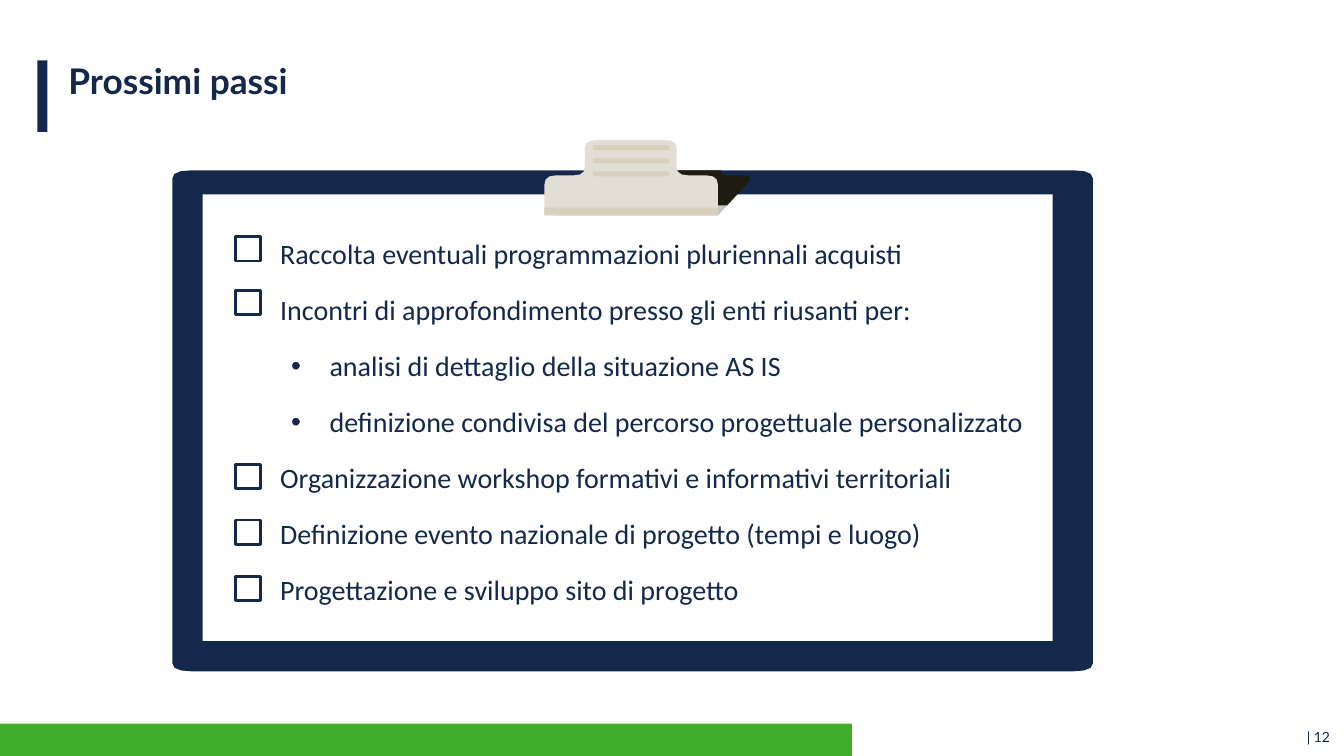
from dataclasses import dataclass
from math import hypot

from lxml import etree
from pptx import Presentation
from pptx.dml.color import RGBColor
from pptx.enum import shapes, text
from pptx.oxml import ns
from pptx.util import Inches, Pt


@dataclass(frozen=True)
class Theme:
    navy: str = "14284B"
    ink: str = "13284A"
    white: str = "FFFFFF"
    green: str = "3FAE29"
    dark: str = "1E1C11"
    gray: str = "C2C8BF"
    metal: str = "E2DED5"
    tan: str = "D8D0BC"
    head: str = "Lato"
    body: str = "Calibri"
    title: float = 25.2
    item: float = 20
    page: float = 10


@dataclass(frozen=True)
class Box:
    x: float
    y: float
    w: float
    h: float
    fill: str
    line: str = ""


@dataclass(frozen=True)
class Corner:
    x: float
    y: float
    rx: float = 0
    ry: float = 0


@dataclass(frozen=True)
class Step:
    words: str
    tick: float = 0


@dataclass(frozen=True)
class Font:
    name: str
    size: float
    color: str
    bold: bool = False


THEME = Theme()
STEPS = [
    Step("Raccolta eventuali programmazioni pluriennali acquisti", 2.35),
    Step("Incontri di approfondimento presso gli enti riusanti per:", 2.88),
    Step("analisi di dettaglio della situazione AS IS"),
    Step("definizione condivisa del percorso progettuale personalizzato"),
    Step("Organizzazione workshop formativi e informativi territoriali", 4.61),
    Step("Definizione evento nazionale di progetto (tempi e luogo)", 5.16),
    Step("Progettazione e sviluppo sito di progetto", 5.72),
]
SHADE = [
    Corner(5.58, 2.04), Corner(5.88, 1.74), Corner(6.32, 1.74),
    Corner(6.32, 1.69), Corner(7.15, 1.69), Corner(7.15, 1.74, 0.06, 0.05),
    Corner(7.49, 1.74, 0.11, 0.11), Corner(7.21, 2.04),
]
EDGE = [Corner(5.58, 2.04), Corner(7.21, 2.04), Corner(7.12, 2.14), Corner(5.49, 2.14)]
CLIP = [
    Corner(5.4, 2.14), Corner(5.4, 1.74, 0.11, 0.09),
    Corner(5.8, 1.74, 0.11, 0.08), Corner(5.8, 1.39, 0.12, 0.08),
    Corner(6.71, 1.39, 0.11, 0.08), Corner(6.71, 1.74, 0.12, 0.08),
    Corner(7.12, 1.74, 0.11, 0.09), Corner(7.12, 2.14),
]


def paint(shape, fill: str, line: str = "") -> None:
    shape.shadow.inherit = False
    shape.fill.solid()
    shape.fill.fore_color.rgb = RGBColor.from_string(fill)
    if line:
        shape.line.color.rgb = RGBColor.from_string(line)
        shape.line.width = Pt(2)
    else:
        shape.line.fill.background()


def add_box(tree, box: Box, kind=shapes.MSO_SHAPE.RECTANGLE) -> None:
    shape = tree.add_shape(kind, *map(Inches, (box.x, box.y, box.w, box.h)))
    paint(shape, box.fill, box.line)


def shift(spot: Corner, goal: Corner) -> tuple[float, float]:
    dx, dy = goal.x - spot.x, goal.y - spot.y
    size = hypot(dx, dy)
    return spot.x + spot.rx * dx / size, spot.y + spot.ry * dy / size


def bend(last: Corner, spot: Corner, coming: Corner) -> list[tuple[float, float]]:
    if not spot.rx:
        return [(spot.x, spot.y)]
    (ax, ay), (bx, by) = shift(spot, last), shift(spot, coming)
    parts = [n / 3 for n in range(4)]
    return [
        ((1 - t) ** 2 * ax + 2 * t * (1 - t) * spot.x + t * t * bx,
         (1 - t) ** 2 * ay + 2 * t * (1 - t) * spot.y + t * t * by)
        for t in parts
    ]


def add_form(tree, form: list[Corner], fill: str) -> None:
    nexts = form[1:] + form[:1]
    dots = [
        (Inches(x), Inches(y))
        for trio in zip(form[-1:] + form[:-1], form, nexts)
        for x, y in bend(*trio)
    ]
    pen = tree.build_freeform(*dots[0])
    pen.add_line_segments(dots[1:], close=True)
    paint(pen.convert_to_shape(), fill)


def round_box(x: float, y: float, w: float, h: float, rx: float, ry: float) -> list[Corner]:
    spots = [(x, y), (x + w, y), (x + w, y + h), (x, y + h)]
    return [Corner(*spot, rx, ry) for spot in spots]


def add_frame(tree, x: float, y: float, w: float, h: float):
    frame = tree.add_textbox(*map(Inches, (x, y, w, h))).text_frame
    frame.word_wrap = True
    frame.vertical_anchor = text.MSO_ANCHOR.MIDDLE
    return frame


def add_run(para, words: str, font: Font) -> None:
    run = para.add_run()
    run.text = words
    run.font.name = font.name
    run.font.size = Pt(font.size)
    run.font.bold = font.bold
    run.font.color.rgb = RGBColor.from_string(font.color)


def add_dot(para, left: float) -> None:
    props = para._p.get_or_add_pPr()
    props.set("marL", str(Inches(left)))
    props.set("indent", str(Inches(-0.38)))
    face = etree.SubElement(props, ns.qn("a:buFont"))
    face.set("typeface", "Arial")
    etree.SubElement(props, ns.qn("a:buChar")).set("char", "•")


def draw_board(tree) -> None:
    add_form(tree, round_box(1.71, 1.69, 9.13, 4.97, 0.19, 0.08), THEME.navy)
    add_box(tree, Box(2.01, 1.93, 8.43, 4.43, THEME.white))
    add_form(tree, SHADE, THEME.dark)
    add_form(tree, EDGE, THEME.gray)
    add_form(tree, CLIP, THEME.metal)
    for row in range(3):
        add_form(tree, round_box(5.88, 1.44 + 0.13 * row, 0.76, 0.05, 0.03, 0.02), THEME.tan)
    add_box(tree, Box(5.4, 2.06, 1.72, 0.07, THEME.tan))


def draw_steps(tree) -> None:
    frame = add_frame(tree, 2.3, 2.01, 8.11, 4.18)
    font = Font(THEME.body, THEME.item, THEME.ink)
    for rank, step in enumerate(STEPS):
        para = frame.add_paragraph() if rank else frame.paragraphs[0]
        para.line_spacing = 1.5
        para.space_before = Pt(4)
        add_dot(para, 0.38 if step.tick else 0.87)
        add_run(para, step.words, font)
        if step.tick:
            box = Box(2.34, step.tick, 0.24, 0.24, THEME.white, THEME.navy)
            add_box(tree, box, shapes.MSO_SHAPE.FLOWCHART_PROCESS)


def main() -> None:
    deck = Presentation()
    deck.slide_width, deck.slide_height = Inches(13.33), Inches(7.5)
    tree = deck.slides.add_slide(deck.slide_layouts[6]).shapes
    add_box(tree, Box(0, 7.18, 8.45, 0.32, THEME.green))
    add_box(tree, Box(0.37, 0.6, 0.1, 0.71, THEME.navy))
    page = add_frame(tree, 10.13, 7.18, 3.16, 0.27).paragraphs[0]
    page.alignment = text.PP_ALIGN.RIGHT
    add_run(page, "| 12", Font(THEME.head, THEME.page, THEME.navy))
    add_box(tree, Box(8.48, 7.14, 3.62, 0.36, THEME.white))
    draw_board(tree.add_group_shape().shapes)
    draw_steps(tree)
    title = add_frame(tree, 0.58, 0.6, 12, 0.39).paragraphs[0]
    add_run(title, "Prossimi passi", Font(THEME.head, THEME.title, THEME.navy, True))
    deck.save("out.pptx")


if __name__ == "__main__":
    main()
